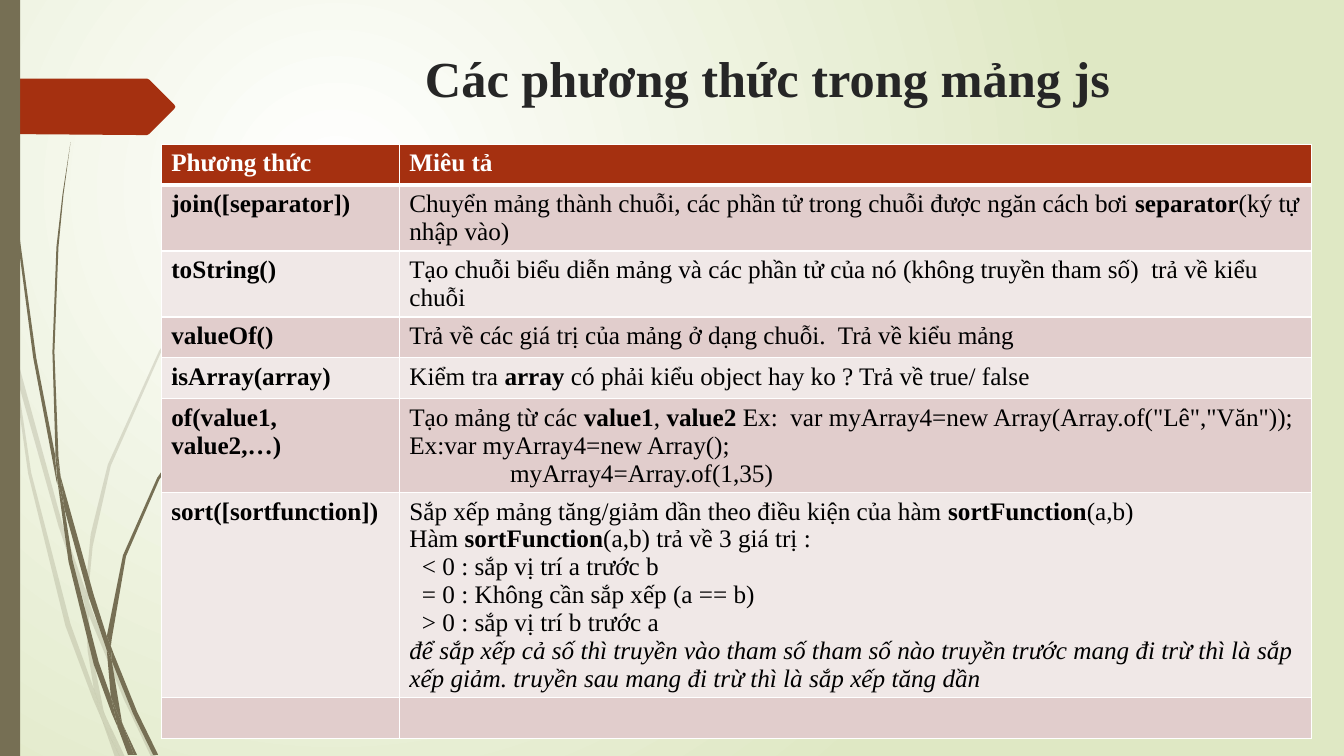
from dataclasses import dataclass
from lxml.etree import SubElement as Sub
from pptx import Presentation
from pptx.dml.color import RGBColor as Rgb
from pptx.enum.shapes import MSO_SHAPE as Kind
from pptx.enum.text import MSO_ANCHOR as Anchor, PP_ALIGN as Align
from pptx.oxml.ns import qn
from pptx.util import Pt


@dataclass(frozen=True)
class Theme:
    face: str = "Times New Roman"
    head: int = 36
    body: int = 18
    ink: str = "000000"
    dark: str = "262626"
    white: str = "FFFFFF"
    pale: str = "DFE8C4"
    red: str = "A53010"
    olive: str = "766F54"
    bands: tuple = ("F0E8E7", "E1CDCC")


theme = Theme()


def paint(shape, tone):
    shape.shadow.inherit = False
    shape.fill.solid()
    shape.fill.fore_color.rgb = Rgb.from_string(tone)
    shape.line.fill.background()
    return shape


def write(para, text, tone, **form):
    """Fill a paragraph; parts between asterisks are bold."""
    for n, part in enumerate(text.split("*")):
        if not part:
            continue
        run = para.add_run()
        run.text = part
        look = {"name": theme.face, "size": Pt(theme.body), "bold": n % 2 == 1}
        for key, val in (look | form).items():
            setattr(run.font, key, val)
        run.font.color.rgb = Rgb.from_string(tone)


deck = Presentation()
deck.slide_width, deck.slide_height = Pt(960), Pt(540)
slide = deck.slides.add_slide(deck.slide_layouts[5])

# Background: a glow centred in the upper left quarter
back = slide.background.fill
back.gradient()
for stop, tone, spot in zip(back.gradient_stops, (theme.white, theme.pale), (0, 1)):
    stop.color.rgb = Rgb.from_string(tone)
    stop.position = spot
grad = slide.element.find(".//" + qn("a:gradFill"))
grad.remove(grad.find(qn("a:lin")))
glow = Sub(grad, qn("a:path"), path="circle")
Sub(glow, qn("a:fillToRect"), l="50000", t="50000", r="100000", b="100000")

# Grass outlines, in units of 0.72 pt
UNIT = Pt(0.72)
faint = [
    [(11, 350), (9, 322), (0, 282), (0, 299), (10, 344)],
    [(58, 522), (84, 599), (85, 586), (62, 520), (14, 345), (17, 376)],
    [(92, 607), (88, 596), (88, 610), (123, 694), (150, 751), (155, 751), (127, 692)],
    [(119, 751), (124, 751), (105, 711)],
    [(93, 683), (70, 619), (31, 469), (17, 376), (11, 350), (28, 470), (65, 621),
     (92, 693), (101, 714), (99, 707)],
    [(84, 599), (87, 646), (93, 683), (96, 692), (105, 711), (103, 706), (91, 646),
     (88, 610), (88, 608)],
    [(88, 584), (92, 542), (110, 462), (160, 349), (229, 245), (268, 198), (290, 175),
     (312, 154), (312, 153), (289, 175), (268, 197), (228, 244), (158, 348),
     (107, 461), (90, 530), (85, 584), (85, 586), (88, 596)],
    [(101, 714), (114, 751), (119, 751)],
    [(88, 608), (88, 610), (88, 596), (85, 586), (84, 599)],
    [(96, 692), (93, 683), (99, 707), (101, 714), (119, 751), (105, 711)],
]
strong = [
    [(7, 110), (17, 233), (33, 355), (56, 477), (57, 481), (55, 457), (55, 453),
     (36, 355), (19, 232), (8, 109), (5, 48), (4, 0), (3, 0), (4, 48)],
    [(88, 592), (106, 645), (106, 633), (106, 631), (93, 590), (60, 472), (64, 505)],
    [(113, 649), (110, 641), (111, 656), (132, 708), (152, 749), (157, 749), (136, 706)],
    [(110, 691), (98, 657), (72, 556), (64, 505), (57, 477), (68, 557), (93, 659),
     (111, 708), (117, 722), (116, 717)],
    [(60, 472), (58, 453), (54, 349), (58, 245), (63, 193), (70, 141), (62, 193),
     (56, 245), (52, 349), (55, 449)],
    [(133, 749), (136, 749), (122, 719)],
    [(57, 477), (64, 505), (60, 472), (55, 449), (55, 453)],
    [(111, 633), (125, 552), (158, 476), (205, 406), (231, 374), (245, 359), (261, 344),
     (260, 344), (245, 358), (231, 373), (204, 405), (156, 474), (122, 551),
     (106, 631), (110, 641)],
    [(117, 722), (127, 749), (131, 749)],
    [(106, 645), (110, 691), (116, 706), (122, 719), (121, 716), (111, 656), (109, 651)],
    [(106, 645), (109, 651), (111, 656), (110, 641), (106, 631), (106, 633)],
    [(116, 706), (110, 691), (116, 717), (117, 722), (130, 749), (133, 749), (122, 719)],
]
tag = [(0, 78), (146, 78), (148, 79), (173, 104), (174, 106), (173, 108), (148, 133),
       (146, 134), (136, 134), (0, 133)]

for blades, tone, alpha in (
    (faint, theme.olive, 20), (strong, theme.olive, 100), ([tag], theme.red, 100)
):
    group = slide.shapes.add_group_shape()
    for spots in blades:
        pen = group.shapes.build_freeform(*spots[0], scale=UNIT)
        pen.add_line_segments(spots[1:], close=True)
        blade = paint(pen.convert_to_shape(), tone)
        if alpha < 100:
            clr = blade.element.spPr.find(".//" + qn("a:srgbClr"))
            Sub(clr, qn("a:alpha"), val=str(alpha * 1000))
paint(slide.shapes.add_shape(Kind.RECTANGLE, 0, 0, Pt(14.4), Pt(540)), theme.olive)

# Title
title = slide.shapes.title
box = {"left": 197.3, "top": 27.4, "width": 702, "height": 55.4}
for key, val in box.items():
    setattr(title, key, Pt(val))
title.text_frame.vertical_anchor = Anchor.MIDDLE
para = title.text_frame.paragraphs[0]
para.alignment = Align.CENTER
write(para, "Các phương thức trong mảng js", theme.dark, size=Pt(theme.head), bold=True)

# Table rows: method, count of text lines, paragraphs as (text, indent, italic)
rows = [
    ("Phương thức", 1, [("*Miêu tả*", 0, False)]),
    ("join([separator])", 2, [
        ("Chuyển mảng thành chuỗi, các phần tử trong chuỗi được ngăn cách bơi "
         "*separator*(ký tự nhập vào)", 0, False)]),
    ("toString()", 2, [
        ("Tạo chuỗi biểu diễn mảng và các phần tử của nó (không truyền tham số)  "
         "trả về kiểu chuỗi", 0, False)]),
    ("valueOf()", 1, [
        ("Trả về các giá trị của mảng ở dạng chuỗi.  Trả về kiểu mảng", 0, False)]),
    ("isArray(array)", 1, [
        ("Kiểm tra *array *có phải kiểu object hay ko ? Trả về true/ false", 0, False)]),
    ("of(value1, value2,…)", 3, [
        ("Tạo mảng từ các *value1*, *value2 *Ex:  var myArray4=new "
         'Array(Array.of("Lê","Văn"));', 0, False),
        ("Ex:var myArray4=new Array();", 0, False),
        ("myArray4=Array.of(1,35)", 72, False)]),
    ("sort([sortfunction])", 7, [
        ("Sắp xếp mảng tăng/giảm dần theo điều kiện của hàm *sortFunction*(a,b)", 0, False),
        ("Hàm *sortFunction*(a,b) trả về 3 giá trị :", 0, False),
        ("< 0 : sắp vị trí a trước b", 9, False),
        ("= 0 : Không cần sắp xếp (a == b)", 9, False),
        ("> 0 : sắp vị trí b trước a", 9, False),
        ("để sắp xếp cả số thì truyền vào tham số tham số nào truyền trước mang đi trừ "
         "thì là sắp xếp giảm. truyền sau mang đi trừ thì là sắp xếp tăng dần", 0, True)]),
    ("", 1, [("", 0, False)]),
]
frame = slide.shapes.add_table(len(rows), 2, Pt(115.2), Pt(103), Pt(821.5), Pt(234))
table = frame.table
for col, width in zip(table.columns, (170, 651.5)):
    col.width = Pt(width)

for r, (name, lines, paras) in enumerate(rows):
    table.rows[r].height = Pt(max(29.2, 7.2 + 19.8 * lines))
    tone = theme.ink if r else theme.white
    for c, texts in enumerate(([(f"*{name}*", 0, False)], paras)):
        cell = table.cell(r, c)
        props = cell._tc.get_or_add_tcPr()
        for side in "LRTB":
            thick = 3 if (r, side) in ((0, "B"), (1, "T")) else 1
            edge = Sub(props, qn(f"a:ln{side}"), w=str(Pt(thick)))
            Sub(Sub(edge, qn("a:solidFill")), qn("a:srgbClr"), val=theme.white)
        cell.fill.solid()
        cell.fill.fore_color.rgb = Rgb.from_string(theme.bands[r % 2] if r else theme.red)
        for n, (text, indent, slant) in enumerate(texts):
            body = cell.text_frame
            para = body.add_paragraph() if n else body.paragraphs[0]
            if indent:
                para._p.get_or_add_pPr().set("marL", str(Pt(indent)))
            write(para, text, tone, italic=slant)

deck.save("out.pptx")
